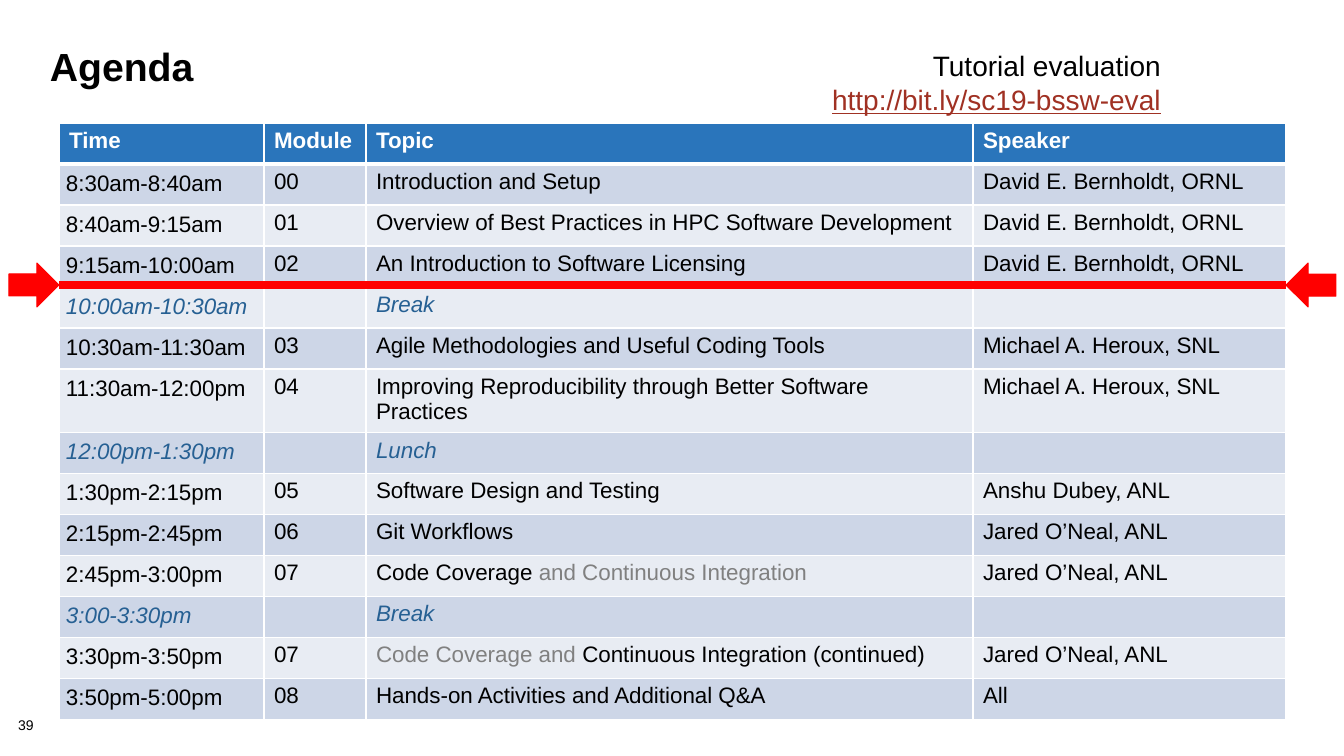
from dataclasses import dataclass

from lxml.etree import SubElement
from pptx import Presentation
from pptx.dml.color import RGBColor
from pptx.enum.shapes import MSO_CONNECTOR, MSO_SHAPE
from pptx.enum.text import MSO_AUTO_SIZE, PP_ALIGN
from pptx.oxml.ns import qn
from pptx.util import Emu, Pt


@dataclass(frozen=True)
class Theme:
    """Colours, font and type sizes of the slide."""
    font: str = "Arial"
    ink: str = "000000"
    paper: str = "FFFFFF"
    header: str = "2A75BB"
    bands: tuple = ("E8ECF3", "CDD6E7")
    pause: str = "266093"
    muted: str = "808080"
    link: str = "A03123"
    marker: str = "FF0000"
    title_size: int = 28
    evaluation_size: int = 20
    table_size: int = 16
    number_size: int = 10


THEME = Theme()
SLIDE_WIDTH, SLIDE_HEIGHT = 1344, 756
COLUMN_WIDTHS = (205, 102, 607, 313)
ROW_HEIGHT = 41
TIME_INSET = 7
HEADINGS = ("Time", "Module", "Topic", "Speaker")
BERNHOLDT = "David E. Bernholdt, ORNL"
HEROUX = "Michael A. Heroux, SNL"
ONEAL = "Jared O’Neal, ANL"
SESSIONS = (
    ("8:30am-8:40am", "00", "Introduction and Setup", BERNHOLDT),
    ("8:40am-9:15am", "01", "Overview of Best Practices in HPC Software Development", BERNHOLDT),
    ("9:15am-10:00am", "02", "An Introduction to Software Licensing", BERNHOLDT),
    ("10:00am-10:30am", "", "Break", ""),
    ("10:30am-11:30am", "03", "Agile Methodologies and Useful Coding Tools", HEROUX),
    ("11:30am-12:00pm", "04", "Improving Reproducibility through Better Software Practices", HEROUX),
    ("12:00pm-1:30pm", "", "Lunch", ""),
    ("1:30pm-2:15pm", "05", "Software Design and Testing", "Anshu Dubey, ANL"),
    ("2:15pm-2:45pm", "06", "Git Workflows", ONEAL),
    ("2:45pm-3:00pm", "07",
     (("Code Coverage ", THEME.ink), ("and Continuous Integration", THEME.muted)), ONEAL),
    ("3:00-3:30pm", "", "Break", ""),
    ("3:30pm-3:50pm", "07",
     (("Code Coverage and ", THEME.muted), ("Continuous Integration (continued)", THEME.ink)), ONEAL),
    ("3:50pm-5:00pm", "08", "Hands-on Activities and Additional Q&A", "All"),
)


def px(length):
    """Turn slide pixels into EMU."""
    return Emu(round(length * 12192000 / SLIDE_WIDTH))


def rgb(colour):
    """Turn a hex string into a colour."""
    return RGBColor.from_string(colour)


def style(paragraph, size, colour=None, bold=False, italic=False):
    """Set the font shared by all runs of a paragraph."""
    font = paragraph.font
    font.name, font.size, font.bold, font.italic = THEME.font, Pt(size), bold, italic
    if colour:
        font.color.rgb = rgb(colour)


def add_text(slide, box, text, size, bold=False, spacing=None):
    """Place a one-paragraph text box and return its frame."""
    frame = slide.shapes.add_textbox(*map(px, box)).text_frame
    frame.word_wrap = True
    paragraph = frame.paragraphs[0]
    paragraph.text = text
    paragraph.line_spacing = spacing
    style(paragraph, size, THEME.ink, bold)
    return frame


def add_page_number(slide, box):
    """Place the page number without insets."""
    frame = add_text(slide, box, "39", THEME.number_size, spacing=0.9)
    frame.margin_left = frame.margin_top = frame.margin_right = frame.margin_bottom = 0


def add_evaluation(slide, box):
    """Place the right-aligned evaluation address."""
    frame = add_text(slide, box, "", THEME.evaluation_size)
    frame.word_wrap = False
    frame.auto_size = MSO_AUTO_SIZE.SHAPE_TO_FIT_TEXT
    paragraph = frame.paragraphs[0]
    paragraph.alignment = PP_ALIGN.RIGHT
    paragraph.add_run().text = "Tutorial evaluation"
    paragraph.add_line_break()
    address = paragraph.add_run()
    address.text = "http://bit.ly/sc19-bssw-eval"
    address.font.underline = True
    address.font.color.rgb = rgb(THEME.link)


def finish_cell(cell, fill, top=1, bottom=1):
    """Give a cell its white borders and its fill."""
    properties = cell._tc.get_or_add_tcPr()
    for side, width in (("L", 1), ("R", 1), ("T", top), ("B", bottom)):
        border = SubElement(properties, qn(f"a:ln{side}"), w=str(Pt(width)))
        SubElement(SubElement(border, qn("a:solidFill")), qn("a:srgbClr"), val=THEME.paper)
    cell.fill.solid()
    cell.fill.fore_color.rgb = rgb(fill)


def fill_session(cells, session, band, top):
    """Write one session into a table row."""
    is_pause = not session[1]
    colour = THEME.pause if is_pause else THEME.ink
    for cell, content in zip(cells, session):
        paragraph = cell.text_frame.paragraphs[0]
        if isinstance(content, tuple):
            for text, shade in content:
                run = paragraph.add_run()
                run.text = text
                run.font.color.rgb = rgb(shade)
            style(paragraph, THEME.table_size)
        else:
            paragraph.text = content
            style(paragraph, THEME.table_size, colour, italic=is_pause)
        finish_cell(cell, band, top)
    time = cells[0]
    time.margin_left = time.margin_top = time.margin_right = time.margin_bottom = px(TIME_INSET)


def add_agenda(slide, left, top):
    """Place the agenda table with its heading row and sessions."""
    row_count = len(SESSIONS) + 1
    size = sum(COLUMN_WIDTHS), ROW_HEIGHT * row_count
    agenda = slide.shapes.add_table(
        row_count, len(HEADINGS), *map(px, (left, top, *size))).table
    agenda.horz_banding = False
    for column, width in zip(agenda.columns, COLUMN_WIDTHS):
        column.width = px(width)
    for row in agenda.rows:
        row.height = px(ROW_HEIGHT)
    for cell, heading in zip(agenda.rows[0].cells, HEADINGS):
        cell.text = heading
        style(cell.text_frame.paragraphs[0], THEME.table_size, THEME.paper, bold=True)
        finish_cell(cell, THEME.header, bottom=3)
    for number, session in enumerate(SESSIONS, 1):
        fill_session(list(agenda.rows[number].cells), session,
                     THEME.bands[number % 2], 3 if number == 1 else 1)


def add_progress_marker(slide, left, top, width, height):
    """Place the line between two inward arrows."""
    arrow_width = 50
    line_left, line_right = left + arrow_width, left + width - arrow_width
    middle = top + height // 2
    line = slide.shapes.add_connector(
        MSO_CONNECTOR.STRAIGHT, *map(px, (line_left, middle, line_right, middle)))
    line.line.color.rgb = rgb(THEME.marker)
    line.line.width = Pt(6)
    SubElement(line._element.spPr, qn("a:effectLst"))
    for arrow_left, rotation in ((left, 0), (line_right, 180)):
        arrow = slide.shapes.add_shape(
            MSO_SHAPE.RIGHT_ARROW, *map(px, (arrow_left, top, arrow_width, height)))
        arrow.rotation = rotation
        arrow.shadow.inherit = False
        arrow.fill.solid()
        arrow.fill.fore_color.rgb = rgb(THEME.marker)
        arrow.line.color.rgb = rgb(THEME.marker)
        arrow.line.width = Pt(0.75)


def main():
    """Build the agenda slide."""
    presentation = Presentation()
    presentation.slide_width, presentation.slide_height = px(SLIDE_WIDTH), px(SLIDE_HEIGHT)
    slide = presentation.slides.add_slide(presentation.slide_layouts[6])
    add_page_number(slide, (18, 718, 56, 16))
    add_text(slide, (40, 45, 1254, 101), "Agenda", THEME.title_size, bold=True, spacing=0.85)
    add_agenda(slide, 59, 123)
    add_progress_marker(slide, 9, 263, 1327, 44)
    add_evaluation(slide, (819, 44, 352, 78))
    presentation.save("out.pptx")


if __name__ == "__main__":
    main()
